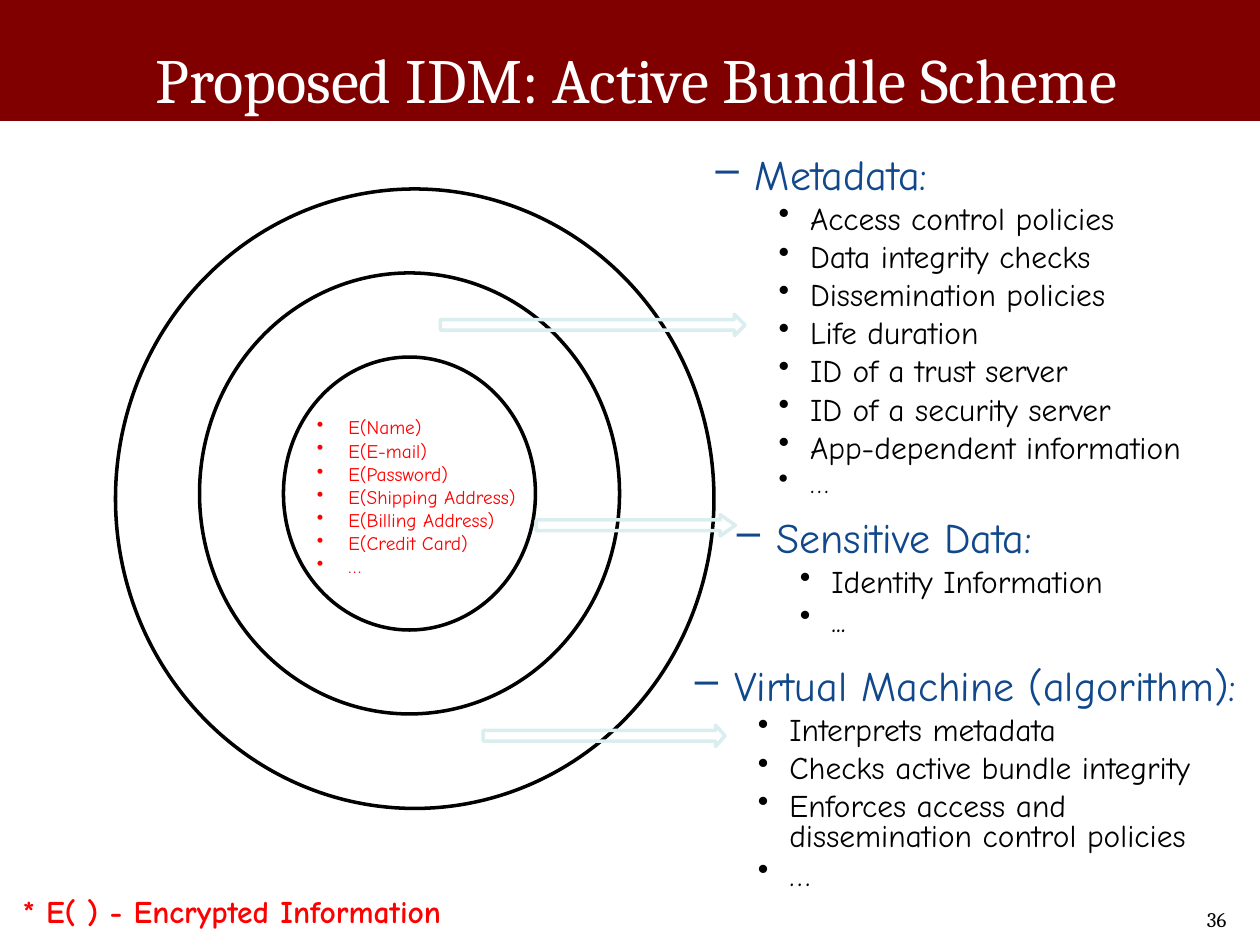
from dataclasses import dataclass

from lxml import etree
from pptx import Presentation
from pptx.dml.color import RGBColor
from pptx.enum import shapes, text
from pptx.oxml import ns
from pptx.util import Pt


@dataclass(frozen=True)
class Theme:
    # Colours
    maroon: str = "800000"
    white: str = "FFFFFF"
    black: str = "000000"
    blue: str = "11488B"
    red: str = "FF0000"
    mint: str = "DAEDEF"
    # Fonts
    serif: str = "Cambria"
    hand: str = "Comic Neue"
    # Type sizes
    title: float = 36
    head: float = 24
    body: float = 18
    small: float = 16
    tiny: float = 11
    page: float = 11.9


T = Theme()
LEFT, MID, RIGHT = text.PP_ALIGN.LEFT, text.PP_ALIGN.CENTER, text.PP_ALIGN.RIGHT

# Text styles: font, colour, paragraph values, bullet (mark, margin, hanging)
TITLE = dict(font=dict(name=T.serif, size=Pt(T.title)), color=T.white,
             para=dict(alignment=MID))
HEAD = dict(font=dict(name=T.hand, size=Pt(T.head)), color=T.blue,
            para=dict(line_spacing=0.8), mark=("–", 58.5, 22.5))
ITEM = dict(font=dict(name=T.hand, size=Pt(T.body)), color=T.black,
            para=dict(line_spacing=0.8, space_before=Pt(4.5)), mark=("•", 90, 18))
MORE = dict(ITEM, font=dict(name=T.hand, size=Pt(T.small)),
            para=dict(line_spacing=0.8, space_before=Pt(4)))
CODE = dict(font=dict(name=T.hand, size=Pt(T.tiny)), color=T.red,
            para=dict(alignment=LEFT), mark=("•", 18, 18))
NOTE = dict(font=dict(name=T.hand, size=Pt(T.body), bold=True), color=T.red,
            para=dict(alignment=LEFT))
PAGE = dict(font=dict(name=T.serif, size=Pt(T.page)), color=T.black,
            para=dict(alignment=RIGHT, line_spacing=0.9))


class Board:
    def __init__(self, deck):
        self.slide = deck.slides.add_slide(deck.slide_layouts[6])

    def form(self, kind, box, line, fill=None):
        shape = self.slide.shapes.add_shape(kind, *map(Pt, box))
        shape.shadow.inherit = False
        shape.line.color.rgb = RGBColor.from_string(line)
        shape.line.width = Pt(2)
        if fill:
            shape.fill.solid()
            shape.fill.fore_color.rgb = RGBColor.from_string(fill)
        else:
            shape.fill.background()
        return shape

    def arrow(self, box, tip):
        shape = self.form(shapes.MSO_SHAPE.RIGHT_ARROW, box, T.mint)
        shape.adjustments[1] = tip

    def bullet(self, para, color, mark, margin, hang):
        props = para._p.get_or_add_pPr()
        props.set("marL", str(Pt(margin)))
        props.set("indent", str(-Pt(hang)))
        tint = etree.SubElement(props, ns.qn("a:buClr"))
        etree.SubElement(tint, ns.qn("a:srgbClr"), val=color)
        etree.SubElement(props, ns.qn("a:buChar"), char=mark)

    def words(self, box, lines, anchor=text.MSO_ANCHOR.TOP):
        frame = self.slide.shapes.add_textbox(*map(Pt, box)).text_frame
        frame.word_wrap = True
        frame.vertical_anchor = anchor
        for i, (line, style) in enumerate(lines):
            para = frame.add_paragraph() if i else frame.paragraphs[0]
            if "mark" in style:
                self.bullet(para, style["color"], *style["mark"])
            for key, value in style["para"].items():
                setattr(para, key, value)
            run = para.add_run()
            run.text = line
            for key, value in style["font"].items():
                setattr(run.font, key, value)
            run.font.color.rgb = RGBColor.from_string(style["color"])


def main():
    deck = Presentation()
    deck.slide_width, deck.slide_height = Pt(720), Pt(540)
    board = Board(deck)

    # Title band
    board.form(shapes.MSO_SHAPE.RECTANGLE, (0, 0, 720, 68.4), T.maroon, T.maroon)
    board.words((23.8, 0, 679.7, 90), [("Proposed IDM: Active Bundle Scheme", TITLE)],
                text.MSO_ANCHOR.MIDDLE)

    # Nested rings, from the outside in
    for i, (wide, high) in enumerate([(342, 354), (240, 252), (144, 156)]):
        box = (66 + 48 * i, 108 + 48 * i, wide, high)
        board.form(shapes.MSO_SHAPE.OVAL, box, T.black, T.white)

    # Arrows from the rings to their lists
    for left, top, wide, tip in [(251.6, 179.6, 174.2, 0.5),
                                 (306.4, 294.1, 113.8, 0.71),
                                 (276.1, 414.4, 138.2, 0.44)]:
        board.arrow((left, top, wide, 12.2), tip)

    # Lists on the right
    groups = [
        ((365.8, 86.7, 383.8, 208.5), "Metadata:",
         ["Access control policies", "Data integrity checks",
          "Dissemination policies", "Life duration", "ID of a trust server",
          "ID of a security server", "App-dependent information"], ("…", MORE)),
        ((378, 294.5, 282, 95.8), "Sensitive Data:",
         ["Identity Information"], ("...", ITEM)),
        ((354, 378.7, 360, 134.6), "Virtual Machine (algorithm):",
         ["Interprets metadata", "Checks active bundle integrity",
          "Enforces access and dissemination control policies"], ("…", ITEM)),
    ]
    for box, head, items, last in groups:
        board.words(box, [(head, HEAD), *((item, ITEM) for item in items), last])

    # Encrypted fields in the core
    fields = ["Name", "E-mail", "Password", "Shipping Address",
              "Billing Address", "Credit Card"]
    board.words((174, 234, 144, 100),
                [*((f"E({field})", CODE) for field in fields), ("…", CODE)])

    # Footnote and page number
    board.words((6, 506, 336, 29), [("* E( ) - Encrypted Information", NOTE)])
    board.words((549.4, 516.2, 158.4, 21.6), [("36", PAGE)])

    deck.save("out.pptx")


if __name__ == "__main__":
    main()
